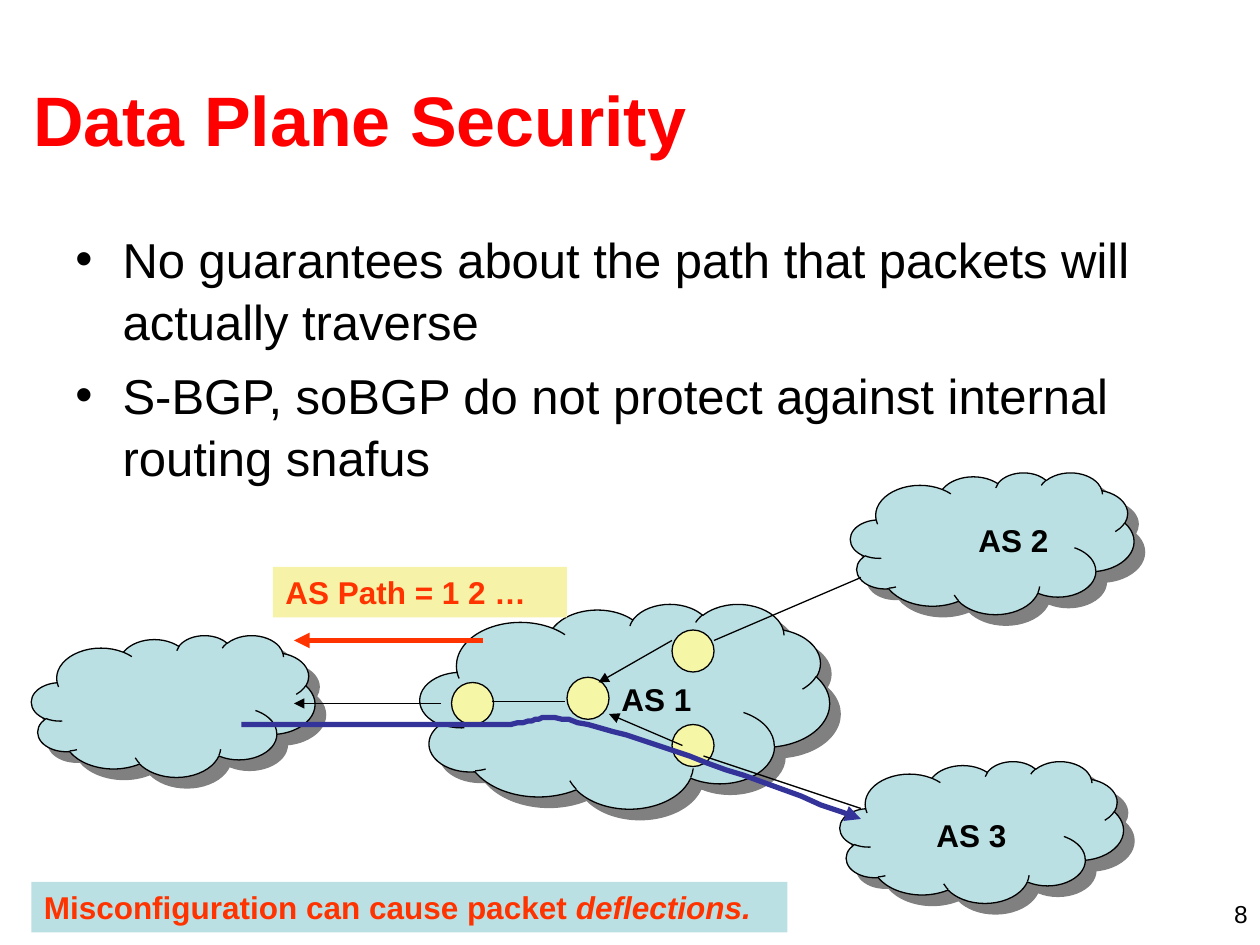
from lxml import etree
from pptx import Presentation
from pptx.dml.color import RGBColor
from pptx.enum import shapes, text
from pptx.oxml import ns
from pptx.util import Pt

COLORS = {
    "title": "FF0000", "ink": "000000", "cloud": "BBE0E3", "shadow": "808080",
    "router": "F5F7A7", "path_label": "F6F2A8", "alert": "FF3300", "route": "333399",
}
FONT = "Arial"
CLOUD_SIZE = (162, 81)
ROUTER_SIZE = 24
LABEL_HEIGHT = 28.8


def rgb(name):
    return RGBColor.from_string(COLORS[name])


def add_xml(parent, tag, **attributes):
    return etree.SubElement(parent, ns.qn(tag), attributes)


def style_line(line, color, width, arrow=False):
    line.color.rgb = rgb(color)
    line.width = Pt(width)
    if arrow:
        add_xml(line._get_or_add_ln(), "a:tailEnd", type="triangle")


def style_font(paragraph, size, color, bold=False):
    font = paragraph.font
    font.name, font.size, font.bold = FONT, Pt(size), bold
    font.color.rgb = rgb(color)


def add_bullet(paragraph, indent):
    properties = paragraph._p.get_or_add_pPr()
    properties.set("marL", str(Pt(indent)))
    properties.set("indent", str(-Pt(indent)))
    add_xml(properties, "a:buFont", typeface=FONT)
    add_xml(properties, "a:buChar", char="•")


def add_text(slide, box, lines, size, color, bold=False, fill=None, bullets=False,
             anchor=text.MSO_ANCHOR.TOP, align=text.PP_ALIGN.LEFT):
    """Add a text box; each line is a list of (wording, italic) runs."""
    textbox = slide.shapes.add_textbox(*map(Pt, box))
    if fill:
        textbox.fill.solid()
        textbox.fill.fore_color.rgb = rgb(fill)
    frame = textbox.text_frame
    frame.word_wrap = True
    frame.vertical_anchor = anchor
    for index, runs in enumerate(lines):
        paragraph = frame.add_paragraph() if index else frame.paragraphs[0]
        paragraph.alignment = align
        if bullets:
            add_bullet(paragraph, 27)
            paragraph.line_spacing = 1.05
        if index:
            paragraph.space_before = Pt(7)
        style_font(paragraph, size, color, bold)
        for wording, italic in runs:
            run = paragraph.add_run()
            run.text = wording
            if italic:
                run.font.italic = True


def add_label(slide, left, top, width, runs, color="ink", fill=None):
    add_text(slide, (left, top, width, LABEL_HEIGHT), [runs], 18, color, True, fill)


def add_outlined(slide, kind, box, fill):
    shape = slide.shapes.add_shape(kind, *map(Pt, box))
    shape.shadow.inherit = False
    shape.fill.solid()
    shape.fill.fore_color.rgb = rgb(fill)
    style_line(shape.line, "ink", 0.75)
    return shape


def add_cloud(slide, left, top, size=CLOUD_SIZE):
    cloud = add_outlined(slide, shapes.MSO_SHAPE.CLOUD, (left, top, *size), "cloud")
    effects = cloud._element.spPr.find(ns.qn("a:effectLst"))
    shadow = add_xml(effects, "a:outerShdw", dist=str(Pt(8.5)), dir="2700000",
                     algn="ctr", rotWithShape="0")
    add_xml(shadow, "a:srgbClr", val=COLORS["shadow"])


def add_router(slide, left, top):
    add_outlined(slide, shapes.MSO_SHAPE.OVAL, (left, top, ROUTER_SIZE, ROUTER_SIZE), "router")


def add_link(slide, ends, arrow=False, color="ink", width=0.75):
    link = slide.shapes.add_connector(shapes.MSO_CONNECTOR.STRAIGHT, *map(Pt, ends))
    style_line(link.line, color, width, arrow)
    add_xml(link._element.spPr, "a:effectLst")


def bezier_points(start, control1, control2, end, steps=16):
    for step in range(1, steps + 1):
        t = step / steps
        weights = ((1 - t) ** 3, 3 * t * (1 - t) ** 2, 3 * t * t * (1 - t), t ** 3)
        yield tuple(sum(w * point[axis] for w, point in
                        zip(weights, (start, control1, control2, end))) for axis in (0, 1))


def add_packet_route(slide, start, curves):
    points = [start]
    for curve in curves:
        points.extend(bezier_points(points[-1], *curve))
    builder = slide.shapes.build_freeform(*start, scale=Pt(1))
    builder.add_line_segments(points[1:], close=False)
    route = builder.convert_to_shape()
    route.shadow.inherit = False
    route.fill.background()
    style_line(route.line, "route", 3, arrow=True)


def add_network(slide):
    add_cloud(slide, 240, 345, (234, 117))
    for left, top in ((324, 387), (384, 360), (384, 414)):
        add_router(slide, left, top)
    for ends in ((384, 366, 342, 390), (390, 426, 348, 408)):
        add_link(slide, ends, arrow=True)
    for left, top in ((486, 270), (480, 435)):
        add_cloud(slide, left, top)
    for ends in ((408, 366, 492, 330), (402, 432, 492, 462)):
        add_link(slide, ends)
    add_cloud(slide, 18, 363)
    for number, left, top in ((1, 348, 385), (2, 552, 294), (3, 528, 463)):
        add_label(slide, left, top, 84, [(f"AS {number}", False)])
    add_link(slide, (252, 402, 168, 402), arrow=True)
    add_label(slide, 156, 324, 168, [("AS Path = 1 2 …", False)], "alert", "path_label")
    add_link(slide, (276, 366, 168, 366), True, "alert", 3)
    add_router(slide, 258, 390)
    add_link(slide, (281, 401, 323, 401))
    add_packet_route(slide, (138, 414), (
        ((193.5, 414), (249, 414), (282, 414)),
        ((315, 414), (301, 405), (336, 414)),
        ((371, 423), (431.5, 445.5), (492, 468)),
    ))


def main():
    deck = Presentation()
    deck.slide_width, deck.slide_height = Pt(720), Pt(540)
    slide = deck.slides.add_slide(deck.slide_layouts[6])
    add_text(slide, (12, 23, 690, 90), [[("Data Plane Security", False)]], 40, "title",
             bold=True, anchor=text.MSO_ANCHOR.MIDDLE)
    add_text(slide, (36, 126, 648, 162), [
        [("No guarantees about the path that packets will actually traverse", False)],
        [("S-BGP, soBGP do not protect against internal routing snafus", False)],
    ], 28, "ink", bullets=True)
    add_network(slide)
    add_label(slide, 18, 504, 432, [("Misconfiguration can cause packet ", False),
                                    ("deflections.", True)], "alert", "cloud")
    add_text(slide, (552, 510, 168, 18), [[("8", False)]], 14, "ink",
             align=text.PP_ALIGN.RIGHT)
    deck.save("out.pptx")


if __name__ == "__main__":
    main()
